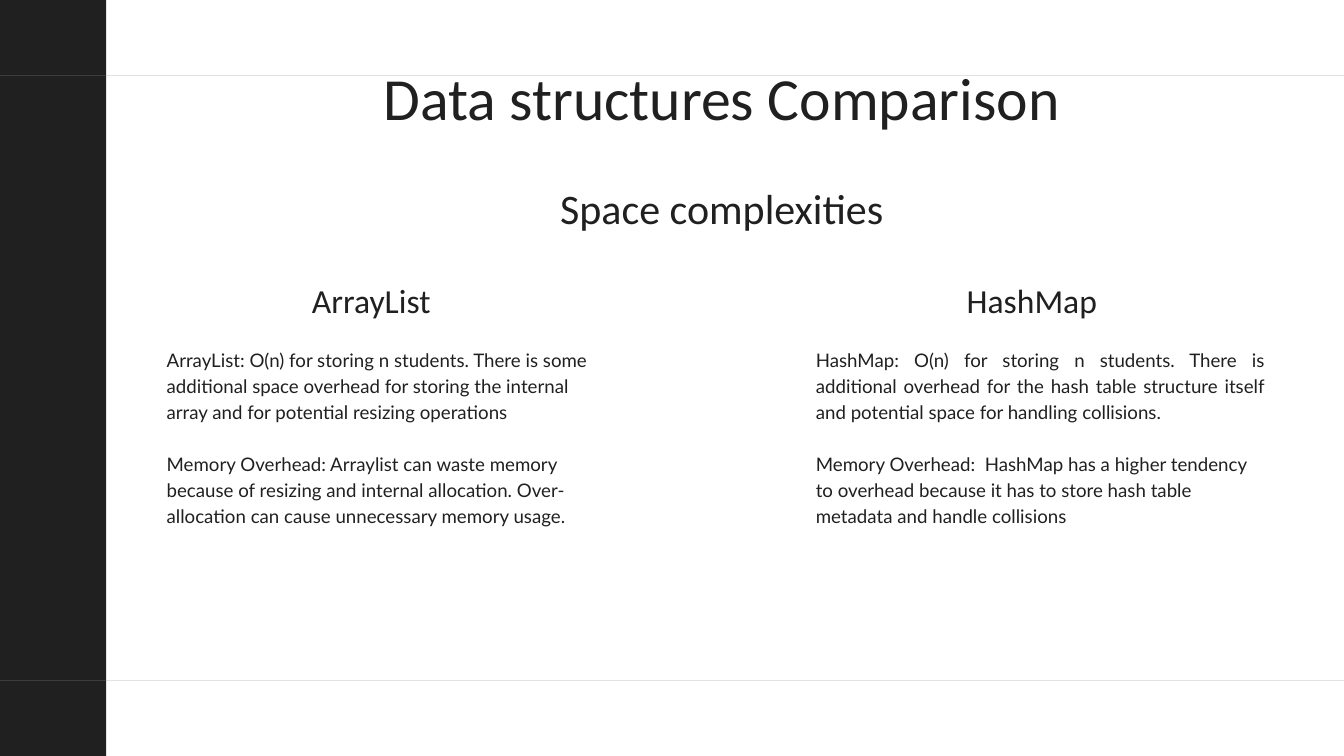
from lxml import etree
from pptx import Presentation
from pptx.dml.color import RGBColor
from pptx.enum.shapes import MSO_SHAPE as Shape
from pptx.enum.text import MSO_AUTO_SIZE as AutoSize, PP_ALIGN as Align
from pptx.oxml.ns import qn
from pptx.util import Inches, Pt

DARK = RGBColor(0x20, 0x20, 0x20)
WHITE = RGBColor(0xFF, 0xFF, 0xFF)

RULE_TOPS = (1.12, 10.12)
RULE_HEIGHT = 0.01
SIDEBAR_RIGHT = 1.58
BODY_LINE = 28

ARROW_POINTS = [
    (1.12, 5.61), (0.99, 5.52), (0.97, 5.52), (0.96, 5.53), (0.96, 5.55),
    (1.04, 5.61), (0.51, 5.61), (0.51, 5.64), (1.04, 5.64), (0.96, 5.7),
    (0.96, 5.72), (0.97, 5.73), (0.99, 5.73), (1.12, 5.64),
]

HEADINGS = [
    # text, left, top, width, height, size, line spacing
    ("Data structures Comparison", 2.66, 0.91, 16.16, 1.06, 64, 76.8),
    ("Space complexities", 2.66, 2.59, 16.16, 0.84, 45, 63),
    ("ArrayList", 3.88, 4.06, 3.29, 0.68, 36, 50.4),
    ("HashMap", 13.71, 4.06, 3.29, 0.68, 36, 50.4),
]

ARRAY_LIST_NOTES = [
    ("ArrayList: O(n) for storing n students. There is some additional space "
     "overhead for storing the internal array and for potential resizing "
     "operations", Align.LEFT),
    ("Memory Overhead: Arraylist can waste memory because of resizing and "
     "internal allocation. Over-allocation can cause unnecessary memory "
     "usage.", Align.LEFT),
]
HASH_MAP_NOTES = [
    ("HashMap: O(n) for storing n students. There is additional overhead for "
     "the hash table structure itself and potential space for handling "
     "collisions.", Align.JUSTIFY),
    ("Memory Overhead:  HashMap has a higher tendency to overhead because it "
     "has to store hash table metadata and handle collisions", Align.LEFT),
]


def paint(shape, color, opacity=100):
    """Give a flat fill with no outline or shadow; opacity is in percent."""
    shape.shadow.inherit = False
    shape.line.fill.background()
    shape.fill.solid()
    shape.fill.fore_color.rgb = color
    if opacity < 100:
        color_element = shape.fill._xPr.find(".//" + qn("a:srgbClr"))
        alpha = etree.SubElement(color_element, qn("a:alpha"))
        alpha.set("val", str(opacity * 1000))


def add_bar(slide, left, top, width, height, color, opacity=100):
    bar = slide.shapes.add_shape(
        Shape.RECTANGLE, Inches(left), Inches(top), Inches(width), Inches(height))
    paint(bar, color, opacity)


def add_arrow(slide):
    builder = slide.shapes.build_freeform(*ARROW_POINTS[0], scale=Inches(1))
    builder.add_line_segments(ARROW_POINTS[1:], close=True)
    paint(builder.convert_to_shape(), WHITE)


def add_text_frame(slide, left, top, width, height):
    box = slide.shapes.add_textbox(
        Inches(left), Inches(top), Inches(width), Inches(height))
    frame = box.text_frame
    frame.word_wrap = True
    frame.auto_size = AutoSize.SHAPE_TO_FIT_TEXT
    frame.margin_left = frame.margin_right = 0
    frame.margin_top = frame.margin_bottom = 0
    return frame


def write_paragraph(paragraph, text, font_name, size, line, alignment):
    paragraph.text = text
    paragraph.alignment = alignment
    paragraph.line_spacing = Pt(line)
    font = paragraph.runs[0].font
    font.name = font_name
    font.size = Pt(size)
    font.color.rgb = DARK


def add_heading(slide, text, left, top, width, height, size, line):
    frame = add_text_frame(slide, left, top, width, height)
    write_paragraph(frame.paragraphs[0], text, "Calibri", size, line, Align.CENTER)


def add_notes_column(slide, notes, left, top, width, height):
    """Add body paragraphs set one line apart."""
    frame = add_text_frame(slide, left, top, width, height)
    for index, (text, alignment) in enumerate(notes):
        paragraph = frame.add_paragraph() if index else frame.paragraphs[0]
        write_paragraph(paragraph, text, "Lato", 20, BODY_LINE, alignment)
        if index:
            paragraph.space_before = Pt(BODY_LINE)


def main():
    presentation = Presentation()
    presentation.slide_width = Inches(20)
    presentation.slide_height = Inches(11.25)
    slide = presentation.slides.add_slide(presentation.slide_layouts[6])

    for top in RULE_TOPS:
        add_bar(slide, SIDEBAR_RIGHT, top, 18.77, RULE_HEIGHT, DARK, 20)
    add_bar(slide, -0.29, -0.24, SIDEBAR_RIGHT + 0.29, 11.82, DARK)
    for top in RULE_TOPS:
        add_bar(slide, -0.16, top, SIDEBAR_RIGHT + 0.16, RULE_HEIGHT, WHITE, 20)
    add_arrow(slide)

    for heading in HEADINGS:
        add_heading(slide, *heading)
    add_notes_column(slide, ARRAY_LIST_NOTES, 2.48, 5.13, 6.43, 3.46)
    add_notes_column(slide, HASH_MAP_NOTES, 12.14, 5.13, 6.68, 2.69)

    presentation.save("out.pptx")


if __name__ == "__main__":
    main()
